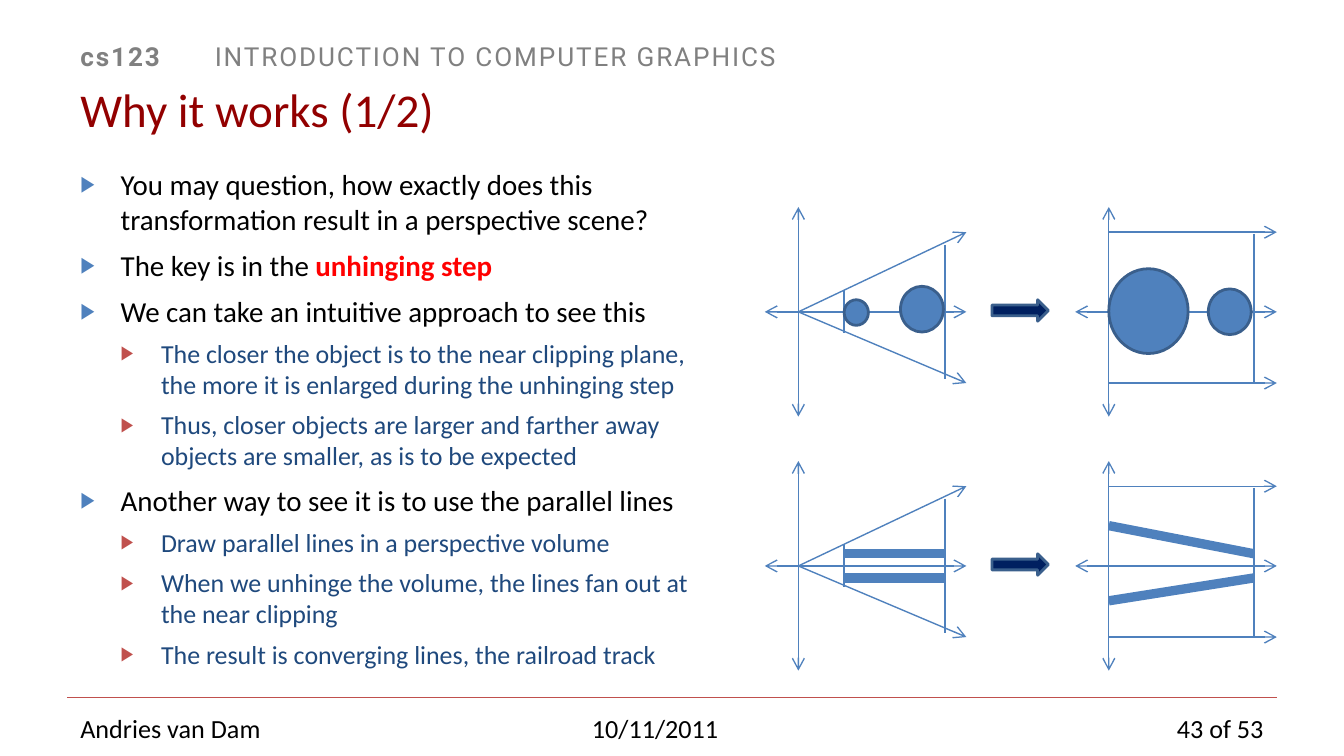
from lxml import etree
from pptx import Presentation
from pptx.dml.color import RGBColor
from pptx.enum.shapes import MSO_CONNECTOR, MSO_SHAPE
from pptx.enum.text import MSO_ANCHOR, PP_ALIGN
from pptx.oxml.ns import qn
from pptx.util import Pt

COLORS = {
    "white": "FFFFFF", "black": "000000", "grey": "808080",
    "title": "920000", "key": "FF0000", "detail": "1F497D",
    "blue": "4F81BD", "outline": "3A5F8C", "navy": "002060", "red": "C0504D",
}
LEVELS = [
    {"size": 15.5, "color": "black", "bullet": "blue", "before": 6},
    {"size": 13.9, "color": "detail", "bullet": "red", "before": 5},
]
POINTS = [
    (0, ["You may question, how exactly does this transformation result in a perspective scene?"]),
    (0, ["The key is in the ", "unhinging step"]),
    (0, ["We can take an intuitive approach to see this"]),
    (1, ["The closer the object is to the near clipping plane, the more it is enlarged during the unhinging step"]),
    (1, ["Thus, closer objects are larger and farther away objects are smaller, as is to be expected"]),
    (0, ["Another way to see it is to use the parallel lines"]),
    (1, ["Draw parallel lines in a perspective volume"]),
    (1, ["When we unhinge the volume, the lines fan out at the near clipping"]),
    (1, ["The result is converging lines, the railroad track"]),
]


def rgb(name):
    return RGBColor.from_string(COLORS[name])


def add_run(paragraph, text, size, color, bold=False, font="Calibri"):
    run = paragraph.add_run()
    run.text = text
    run.font.name = font
    run.font.size = Pt(size)
    run.font.bold = bold
    run.font.color.rgb = rgb(color)
    return run


def add_text_frame(slide, box):
    frame = slide.shapes.add_textbox(*map(Pt, box)).text_frame
    frame.word_wrap = True
    return frame


def add_line(slide, start, end, color="blue", width=0.75, arrows=()):
    line = slide.shapes.add_connector(MSO_CONNECTOR.STRAIGHT, *map(Pt, (*start, *end)))
    line.line.color.rgb = rgb(color)
    line.line.width = Pt(width)
    outline = line.line._get_or_add_ln()
    for arrow in arrows:
        etree.SubElement(outline, qn(f"a:{arrow}"), type="arrow")
    etree.SubElement(line._element.spPr, qn("a:effectLst"))


def add_solid(slide, preset, box, fill):
    solid = slide.shapes.add_shape(preset, *map(Pt, box))
    solid.shadow.inherit = False
    solid.fill.solid()
    solid.fill.fore_color.rgb = rgb(fill)
    solid.line.color.rgb = rgb("outline")
    solid.line.width = Pt(1.5)


def add_header(slide, box):
    left, top, width, height = box
    banner = slide.shapes.add_shape(MSO_SHAPE.RECTANGLE, *map(Pt, (left, top, width, 18)))
    banner.shadow.inherit = False
    banner.fill.solid()
    banner.fill.fore_color.rgb = rgb("white")
    banner.line.fill.background()
    banner.text_frame.vertical_anchor = MSO_ANCHOR.TOP
    course = banner.text_frame.paragraphs[0]
    course.alignment = PP_ALIGN.LEFT
    for text, bold in (("cs123 \t", True), ("INTRODUCTION TO COMPUTER GRAPHICS", False)):
        run = add_run(course, text, 14, "grey", bold, "Roboto")
        run.font._element.set("spc", "100")

    title = add_text_frame(slide, (left, top + 22.3, width, height - 22.3))
    title.vertical_anchor = MSO_ANCHOR.MIDDLE
    add_run(title.paragraphs[0], "Why it works (1/2)", 25.2, "title")


def add_bullet(paragraph, level, color):
    properties = paragraph._p.get_or_add_pPr()
    properties.set("marL", str(Pt(21.6 * (level + 1))))
    properties.set("indent", str(Pt(-21.6)))
    bullet_color = etree.SubElement(properties, qn("a:buClr"))
    etree.SubElement(bullet_color, qn("a:srgbClr"), val=COLORS[color])
    etree.SubElement(properties, qn("a:buSzPct"), val="76000")
    etree.SubElement(properties, qn("a:buFont"), typeface="Arial")
    etree.SubElement(properties, qn("a:buChar"), char="▶")


def add_points(slide, box):
    frame = add_text_frame(slide, box)
    for index, (level, texts) in enumerate(POINTS):
        style = LEVELS[level]
        paragraph = frame.add_paragraph() if index else frame.paragraphs[0]
        paragraph.level = level
        add_bullet(paragraph, level, style["bullet"])
        if index:
            paragraph.space_before = Pt(style["before"])
        for text in texts:
            is_key = text == "unhinging step"
            add_run(paragraph, text, style["size"], "key" if is_key else style["color"], is_key)


def add_volumes(slide, box, balls=(), rails=()):
    left, top, width, height = box
    span, axis, middle = 108, 18, 56.2
    upper, lower = 13.5, 94.3
    unhinged = width - span

    def line(start, end, **style):
        add_line(slide, (left + start[0], top + start[1]), (left + end[0], top + end[1]), **style)

    def solid(preset, x, y, w, h, fill):
        add_solid(slide, preset, (left + x, top + y, w, h), fill)

    for offset, origins in ((0, (middle, middle)), (unhinged, (upper, lower))):
        both = ("headEnd", "tailEnd")
        line((offset + axis, 0), (offset + axis, height), arrows=both)
        line((offset, middle), (offset + span, middle), arrows=both)
        for origin, edge in zip(origins, (upper, lower)):
            line((offset + axis, origin), (offset + span, edge), arrows=("tailEnd",))
    for x, start, end in ((42.5, 44.6, 67.5), (96.5, 20.2, 92.2), (262.1, 14.4, lower)):
        line((x, start), (x, end))
    solid(MSO_SHAPE.RIGHT_ARROW, 121.7, 49.7, 30.2, 11.5, "navy")
    for ball in balls:
        solid(MSO_SHAPE.OVAL, *ball, "blue")
    for start, end in rails:
        line(start, end, width=5)


def add_footer(slide, box):
    left, top, width, height = box
    add_line(slide, (left, top), (left + width, top), color="red")
    entries = (
        ("Andries van Dam", 0, 138, PP_ALIGN.LEFT),
        ("10/11/2011", 126, 378, PP_ALIGN.CENTER),
        ("43 of 53", width - 96, 96, PP_ALIGN.RIGHT),
    )
    for text, offset, entry_width, alignment in entries:
        frame = add_text_frame(slide, (left + offset, top + 4.3, entry_width, height - 4.3))
        frame.paragraphs[0].alignment = alignment
        add_run(frame.paragraphs[0], text, 14, "black")


def main():
    presentation = Presentation()
    presentation.slide_width, presentation.slide_height = Pt(720), Pt(405)
    slide = presentation.slides.add_slide(presentation.slide_layouts[6])
    add_header(slide, (36, 18, 648, 58.3))
    add_points(slide, (36, 85.7, 343.4, 308.9))
    add_volumes(slide, (409.7, 110.9, 274.3, 112.3), balls=[
        (42.5, 49.7, 13, 13.7), (72.7, 42.5, 23, 24.5),
        (184.3, 33.1, 42.5, 45.4), (237.6, 43.9, 23, 24.5),
    ])
    add_volumes(slide, (409.7, 247, 274.3, 112.3), rails=[
        ((42.5, 49.7), (96.5, 49.7)), ((42.5, 62.6), (96.5, 62.6)),
        ((184.3, 34.6), (262.1, 49.7)), ((184.3, 74.9), (262.1, 62.6)),
    ])
    add_footer(slide, (36, 373.7, 648, 28.8))
    presentation.save("out.pptx")


if __name__ == "__main__":
    main()
